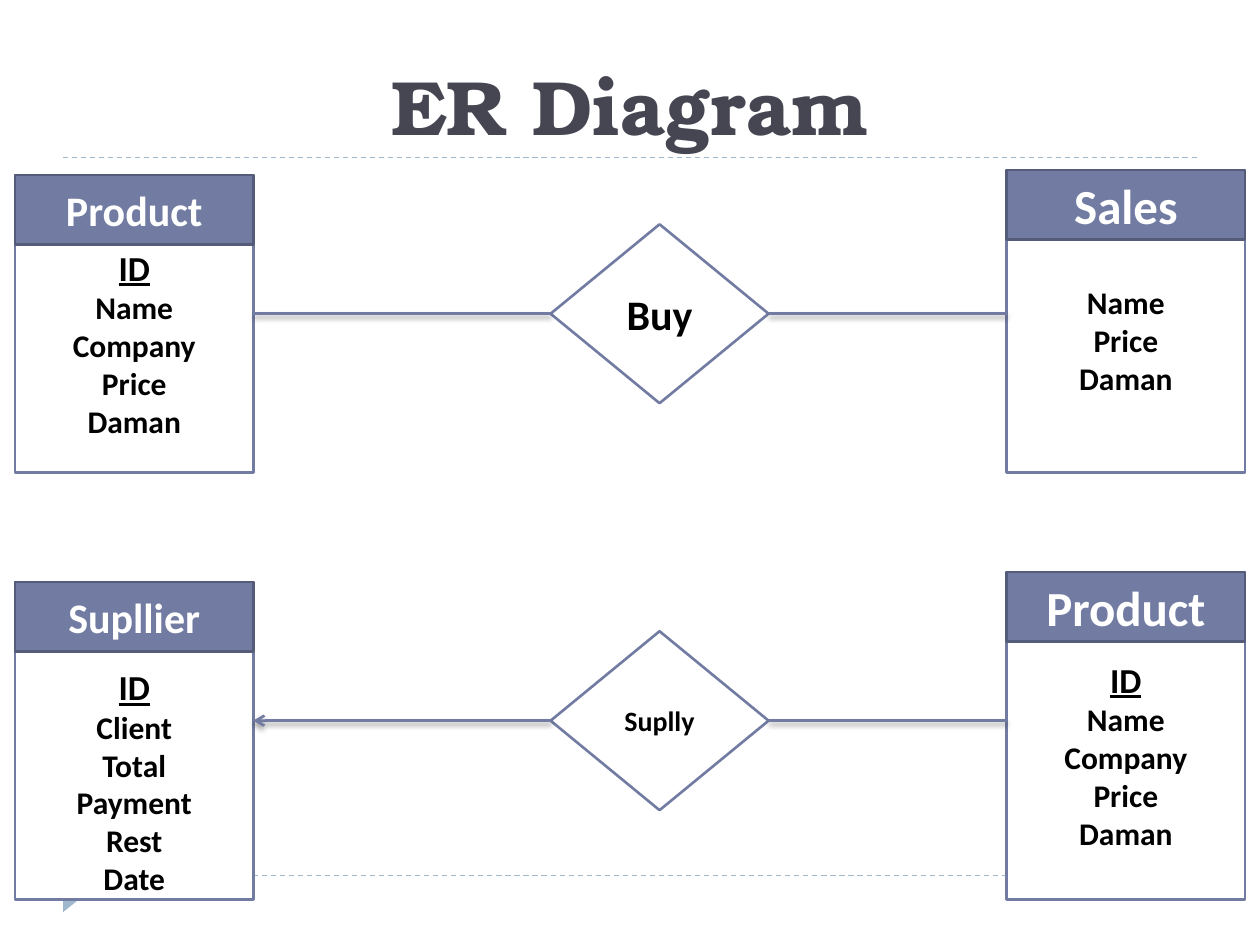
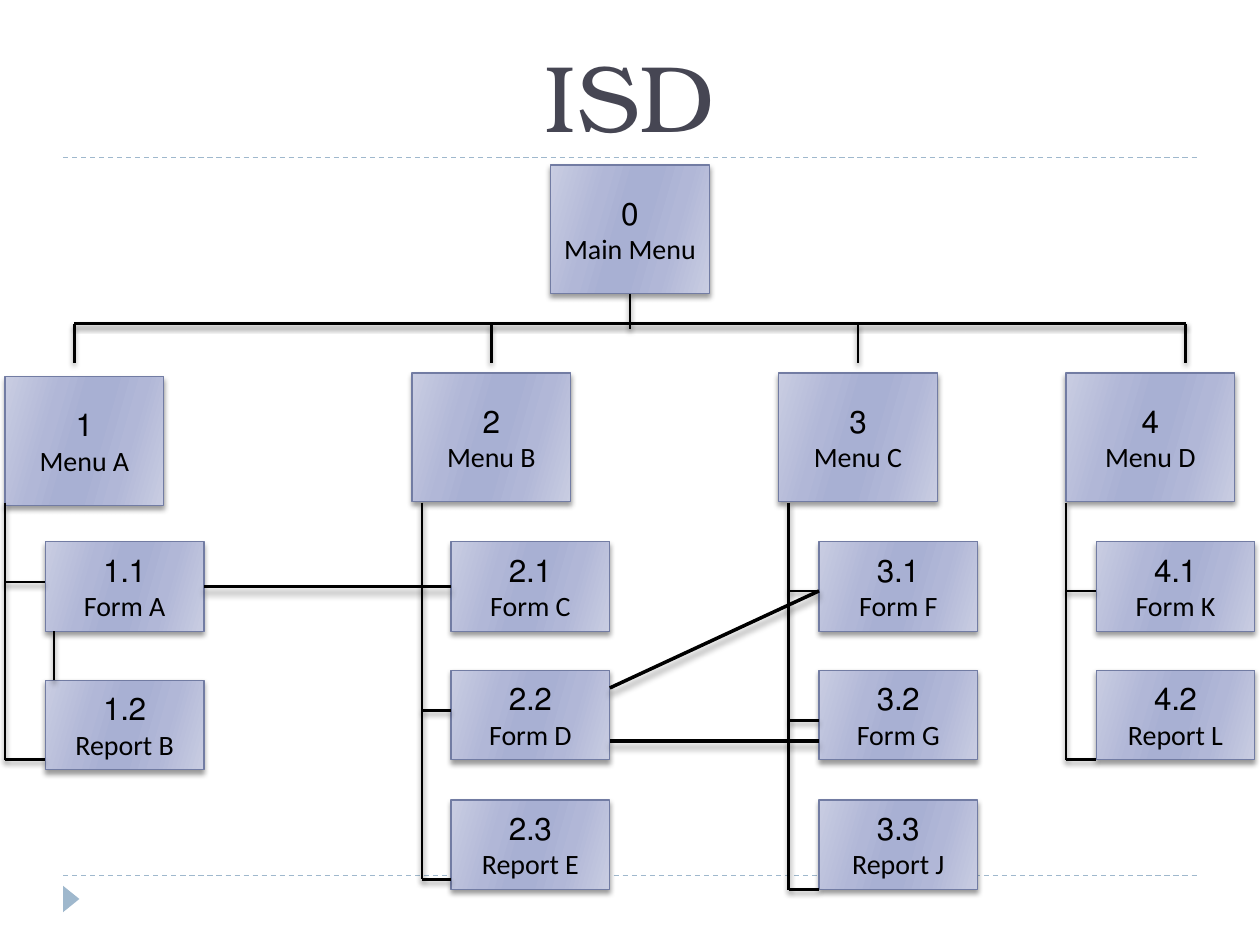
"""Build an entity-relationship slide and a system structure slide."""
from dataclasses import dataclass

from lxml import etree
from pptx import Presentation
from pptx.dml.color import RGBColor
from pptx.enum.dml import MSO_LINE
from pptx.enum.shapes import MSO_CONNECTOR, MSO_SHAPE
from pptx.enum.text import MSO_ANCHOR, MSO_AUTO_SIZE, PP_ALIGN
from pptx.oxml.ns import qn
from pptx.shapes.autoshape import Shape
from pptx.shapes.connector import Connector
from pptx.slide import Slide
from pptx.text.text import TextFrame
from pptx.util import Inches, Pt

RECTANGLE = MSO_SHAPE.RECTANGLE
PROCESS = MSO_SHAPE.FLOWCHART_PROCESS
DECISION = MSO_SHAPE.FLOWCHART_DECISION
TRIANGLE = MSO_SHAPE.ISOSCELES_TRIANGLE
STRAIGHT = MSO_CONNECTOR.STRAIGHT
DASH = MSO_LINE.DASH
MIDDLE, BOTTOM = MSO_ANCHOR.MIDDLE, MSO_ANCHOR.BOTTOM
CENTER = PP_ALIGN.CENTER
NO_AUTOFIT = MSO_AUTO_SIZE.NONE
LEFT_SITE, BOTTOM_SITE, RIGHT_SITE = 1, 2, 3
TITLE_ONLY_LAYOUT = 5


@dataclass(frozen=True)
class Theme:
    """Fonts, colours, type sizes and line widths."""
    title_font: str = "TeX Gyre Bonum"
    body_font: str = "Calibri"
    title: str = "464653"
    rule: str = "9FB8CD"
    accent: str = "727CA3"
    accent_dark: str = "545C79"
    paper: str = "FFFFFF"
    ink: str = "000000"
    gradient: tuple[tuple[int, str], ...] = (
        (0, "C9CDE2"), (30, "B1B7D7"), (45, "A8B0D3"),
        (55, "A8B0D3"), (73, "B1B7D7"), (100, "C9CDE2"))
    gradient_angle: int = 344
    attribute_size: int = 18
    key_size: int = 20
    number_size: int = 18
    label_size: int = 16
    thin: float = 0.75
    normal: float = 1.5
    thick: float = 2


THEME = Theme()


@dataclass(frozen=True)
class Box:
    """A rectangle in inches."""
    left: float
    top: float
    width: float
    height: float


@dataclass(frozen=True)
class Line:
    """One line of text with its look."""
    text: str
    size: float
    color: str = THEME.ink
    bold: bool = False
    underline: bool = False
    font: str = THEME.body_font


@dataclass(frozen=True)
class Entity:
    """An entity with a header and its attributes."""
    name: str
    name_size: int
    left: float
    top: float
    height: float
    attributes: tuple[str, ...]
    headroom: float = 0.3


@dataclass(frozen=True)
class Relation:
    """A decision diamond between two entities."""
    name: str
    size: int
    top: float
    left_entity: Entity
    right_entity: Entity
    arrow: bool = False


@dataclass(frozen=True)
class Branch:
    """A menu with the forms and reports below it."""
    number: str
    label: str
    menu: Box
    drop_x: float
    spine_x: float
    item_left: float
    items: tuple[str, ...]
    tops: tuple[float, ...]
    ticks: tuple[float, ...]


ENTITY_WIDTH, HEADER_HEIGHT = 1.89, 0.55
LEFT_COLUMN, RIGHT_COLUMN = 0.12, 7.99
DIAMOND_LEFT, DIAMOND_WIDTH, DIAMOND_HEIGHT = 4.37, 1.73, 1.42
STOCK = ("ID", "Name", "Company", "Price", "Daman")
RELATIONS = (
    Relation("Buy", 24, 1.78,
             Entity("Product", 24, LEFT_COLUMN, 1.39, 2.36, STOCK),
             Entity("Sales", 28, RIGHT_COLUMN, 1.35, 2.4, ("Name", "Price", "Daman"))),
    Relation("Suplly", 16, 5.01,
             Entity("Supllier", 24, LEFT_COLUMN, 4.62, 2.52,
                    ("ID", "Client", "Total", "Payment", "Rest", "Date"), 0.64),
             Entity("Product", 28, RIGHT_COLUMN, 4.54, 2.6, STOCK), arrow=True),
)

NODE_WIDTH, MENU_HEIGHT, ITEM_HEIGHT = 1.26, 1.02, 0.71
BUS_Y, DROP_END, SPINE_TOP = 2.57, 2.88, 3.99
ROWS = (4.3, 5.32, 6.35)
BRANCHES = (
    Branch("1", "Menu A", Box(0.04, 2.99, NODE_WIDTH, MENU_HEIGHT), 0.59, 0.04, 0.36,
           ("Form A", "Report B"), (4.3, 5.4), (4.62, 6.03)),
    Branch("2", "Menu B", Box(3.27, 2.96, NODE_WIDTH, MENU_HEIGHT), 3.9, 3.35, 3.58,
           ("Form C", "Form D", "Report E"), ROWS, (5.64, 6.98)),
    Branch("3", "Menu C", Box(6.18, 2.96, NODE_WIDTH, MENU_HEIGHT), 6.81, 6.26, 6.5,
           ("Form F", "Form G", "Report J"), ROWS, (4.69, 5.72, 7.06)),
    Branch("4", "Menu D", Box(8.46, 2.96, 1.34, MENU_HEIGHT), 9.41, 8.46, 8.7,
           ("Form K", "Report L"), ROWS[:2], (4.69, 6.03)),
)


def write(frame: TextFrame, lines: list[Line], anchor: MSO_ANCHOR = MIDDLE) -> None:
    """Fill a frame with centred right-to-left paragraphs."""
    frame.word_wrap = True
    frame.vertical_anchor = anchor
    for index, line in enumerate(lines):
        paragraph = frame.add_paragraph() if index else frame.paragraphs[0]
        paragraph.alignment = CENTER
        paragraph._p.get_or_add_pPr().set("rtl", "1")
        run = paragraph.add_run()
        run.text = line.text
        run.font.name = line.font
        run.font.size = Pt(line.size)
        run.font.bold = line.bold
        run.font.underline = line.underline
        run.font.color.rgb = RGBColor.from_string(line.color)


def add_shadow(effects: etree._Element, blur: float = 3, distance: float = 2) -> None:
    """Put a soft downward shadow in an effect list."""
    shadow = etree.SubElement(effects, qn("a:outerShdw"), blurRad=str(Pt(blur)),
                              dist=str(Pt(distance)), dir="5400000", rotWithShape="0")
    color = etree.SubElement(shadow, qn("a:srgbClr"), val=THEME.ink)
    etree.SubElement(color, qn("a:alpha"), val="40000")


def add_box(slide: Slide, kind: MSO_SHAPE, box: Box, fill: str | None,
            outline: str | None, width: float = THEME.normal) -> Shape:
    """Add a flat shape with an optional solid fill and outline."""
    shape = slide.shapes.add_shape(kind, Inches(box.left), Inches(box.top),
                                   Inches(box.width), Inches(box.height))
    shape.shadow.inherit = False
    if fill:
        shape.fill.solid()
        shape.fill.fore_color.rgb = RGBColor.from_string(fill)
    if outline:
        shape.line.color.rgb = RGBColor.from_string(outline)
        shape.line.width = Pt(width)
    else:
        shape.line.fill.background()
    return shape


def add_line(slide: Slide, start: tuple[float, float], end: tuple[float, float],
             color: str = THEME.ink, width: float = THEME.normal,
             shadowed: bool = True) -> Connector:
    """Add a straight line between two points."""
    line = slide.shapes.add_connector(STRAIGHT, *map(Inches, start + end))
    line.line.color.rgb = RGBColor.from_string(color)
    line.line.width = Pt(width)
    effects = etree.SubElement(line._element.spPr, qn("a:effectLst"))
    if shadowed:
        add_shadow(effects, *((4, 3.4) if width == THEME.thick else ()))
    return line


def add_slide(deck: Presentation, title: str, size: int, bold: bool) -> Slide:
    """Add a slide with its heading, dashed rules and corner marker."""
    slide = deck.slides.add_slide(deck.slide_layouts[TITLE_ONLY_LAYOUT])
    heading = slide.shapes.title
    heading.left, heading.top = Inches(0.5), Inches(0.17)
    heading.width, heading.height = Inches(9), Inches(1.08)
    heading.text_frame.auto_size = NO_AUTOFIT
    write(heading.text_frame,
          [Line(title, size, THEME.title, bold, font=THEME.title_font)], BOTTOM)
    for y in (6.95, 1.25):
        rule = add_line(slide, (0.5, y), (9.5, y), THEME.rule, THEME.thin, False)
        rule.line.dash_style = DASH
    marker = add_box(slide, TRIANGLE, Box(0.46, 7.07, 0.21, 0.13), THEME.rule, None)
    marker.rotation = 90
    return slide


def add_entity(slide: Slide, entity: Entity) -> None:
    """Draw the attribute box and the header on top of it."""
    body = add_box(slide, RECTANGLE,
                   Box(entity.left, entity.top, ENTITY_WIDTH, entity.height),
                   THEME.paper, THEME.accent)
    body.text_frame.margin_top = Inches(entity.headroom)
    body.text_frame.margin_bottom = 0
    write(body.text_frame, [
        Line(name, THEME.key_size if name == "ID" else THEME.attribute_size,
             bold=True, underline=name == "ID")
        for name in entity.attributes])
    header = add_box(slide, PROCESS,
                     Box(entity.left, entity.top, ENTITY_WIDTH, HEADER_HEIGHT),
                     THEME.accent, THEME.accent_dark)
    write(header.text_frame, [Line(entity.name, entity.name_size, THEME.paper, True)])


def add_relation(slide: Slide, relation: Relation) -> None:
    """Draw two entities, their diamond and the lines between them."""
    add_entity(slide, relation.left_entity)
    add_entity(slide, relation.right_entity)
    diamond = add_box(slide, DECISION,
                      Box(DIAMOND_LEFT, relation.top, DIAMOND_WIDTH, DIAMOND_HEIGHT),
                      THEME.paper, THEME.accent)
    write(diamond.text_frame, [Line(relation.name, relation.size, bold=True)])
    y = relation.top + DIAMOND_HEIGHT / 2
    to_right = add_line(slide, (DIAMOND_LEFT + DIAMOND_WIDTH, y), (RIGHT_COLUMN, y),
                        THEME.accent)
    to_right.begin_connect(diamond, RIGHT_SITE)
    to_left = add_line(slide, (DIAMOND_LEFT, y), (LEFT_COLUMN + ENTITY_WIDTH, y),
                       THEME.accent)
    to_left.begin_connect(diamond, LEFT_SITE)
    if relation.arrow:
        etree.SubElement(to_left.line._get_or_add_ln(), qn("a:tailEnd"), type="arrow")


def add_node(slide: Slide, box: Box, number: str, label: str) -> Shape:
    """Draw a numbered gradient box."""
    node = add_box(slide, RECTANGLE, box, None, THEME.accent, THEME.thin)
    node.fill.gradient()
    node.fill.gradient_angle = THEME.gradient_angle
    properties = node._element.spPr
    stops = properties.find(f"{qn('a:gradFill')}/{qn('a:gsLst')}")
    for stop in list(stops):
        stops.remove(stop)
    for position, color in THEME.gradient:
        stop = etree.SubElement(stops, qn("a:gs"), pos=str(position * 1000))
        etree.SubElement(stop, qn("a:srgbClr"), val=color)
    add_shadow(properties.find(qn("a:effectLst")))
    write(node.text_frame, [Line(number, THEME.number_size), Line(label, THEME.label_size)])
    return node


def add_branch(slide: Slide, branch: Branch) -> dict[str, Shape]:
    """Draw a menu, its items and their spine, and return the items by label."""
    add_line(slide, (branch.drop_x, BUS_Y), (branch.drop_x, DROP_END))
    add_node(slide, branch.menu, branch.number, branch.label)
    nodes = {}
    for index, (label, top) in enumerate(zip(branch.items, branch.tops), start=1):
        nodes[label] = add_node(slide, Box(branch.item_left, top, NODE_WIDTH, ITEM_HEIGHT),
                                f"{branch.number}.{index}", label)
    add_line(slide, (branch.spine_x, SPINE_TOP), (branch.spine_x, branch.ticks[-1]))
    for y in branch.ticks:
        add_line(slide, (branch.spine_x, y), (branch.item_left, y))
    return nodes


def build_structure(slide: Slide) -> None:
    """Draw the menu tree and the links across its branches."""
    main_menu = add_node(slide, Box(4.37, 1.31, NODE_WIDTH, MENU_HEIGHT), "0", "Main Menu")
    trunk = add_line(slide, (5, 2.33), (5, 2.61))
    trunk.begin_connect(main_menu, BOTTOM_SITE)
    add_line(slide, (BRANCHES[0].drop_x, BUS_Y), (BRANCHES[-1].drop_x, BUS_Y))
    nodes = {}
    for branch in BRANCHES:
        nodes.update(add_branch(slide, branch))
    add_line(slide, (0.43, 5.01), (0.43, 5.4))
    form_link = add_line(slide, (1.62, 4.66), (3.58, 4.66), width=THEME.thick)
    form_link.begin_connect(nodes["Form A"], RIGHT_SITE)
    form_link.end_connect(nodes["Form C"], LEFT_SITE)
    for start_y, end_y in ((5.46, 4.69), (5.88, 5.88)):
        add_line(slide, (4.84, start_y), (6.5, end_y), width=THEME.thick)


def main() -> None:
    """Build and save the deck."""
    deck = Presentation()
    deck.slide_width, deck.slide_height = Inches(10), Inches(7.5)
    entities = add_slide(deck, "ER Diagram", 44, True)
    for relation in RELATIONS:
        add_relation(entities, relation)
    build_structure(add_slide(deck, "ISD", 54, False))
    deck.save("out.pptx")


if __name__ == "__main__":
    main()
